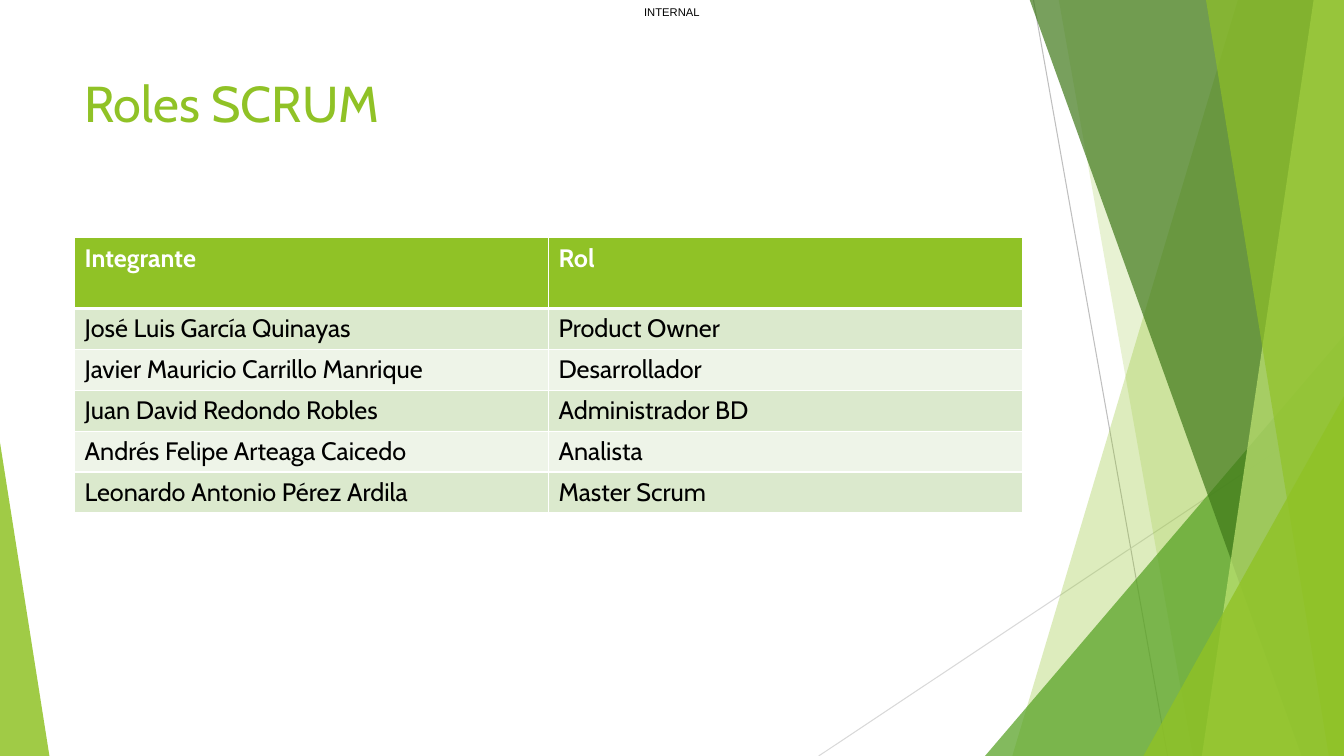
from lxml import etree
from pptx import Presentation
from pptx.dml.color import RGBColor
from pptx.enum import shapes, text
from pptx.oxml import ns
from pptx.util import Inches, Pt

LIME = RGBColor(0x90, 0xC2, 0x26)
GREEN = RGBColor(0x54, 0xA0, 0x21)
DARK_GREEN = RGBColor(0x3F, 0x78, 0x19)
PALE_LIME = RGBColor(0xC0, 0xE4, 0x74)
BAND_DARK = RGBColor(0xDB, 0xE9, 0xCD)
BAND_LIGHT = RGBColor(0xEE, 0xF4, 0xE8)
GRAY = RGBColor(0xBF, 0xBF, 0xBF)
LIGHT_GRAY = RGBColor(0xD9, 0xD9, 0xD9)
WHITE = RGBColor(0xFF, 0xFF, 0xFF)
BLACK = RGBColor(0, 0, 0)
W, H, TOP = 13.33, 7.5, -0.01


def paint(sp, color, opacity):
    sp.shadow.inherit = False
    sp.fill.solid()
    sp.fill.fore_color.rgb = color
    sp.line.fill.background()
    clr = sp._element.spPr.find(ns.qn("a:solidFill"))[0]
    etree.SubElement(clr, ns.qn("a:alpha"), val=str(opacity * 1000))


def set_font(p, name, size, color, bold=False):
    p.font.name = name
    p.font.size = Pt(size)
    p.font.color.rgb = color
    p.font.bold = bold


prs = Presentation()
prs.slide_width, prs.slide_height = Inches(W), Inches(H)
s = prs.slides.add_slide(prs.slide_layouts[6])

for x1, y1, x2, y2, color in [
    (10.25, 0, 11.58, H, GRAY),
    (W, 4.03, 8.12, H, LIGHT_GRAY),
]:
    line = s.shapes.add_connector(
        shapes.MSO_CONNECTOR.STRAIGHT, Inches(x1), Inches(y1), Inches(x2), Inches(y2))
    line.line.color.rgb = color
    line.line.width = Pt(0.75)
    etree.SubElement(line._element.spPr, ns.qn("a:effectLst"))

bands = [
    ("panel", 12.28, 10.04, LIME, 30),
    ("panel", 10.5, 11.83, LIME, 20),
    ("triangle", 9.77, 3.33, 3.56, 1, GREEN, 72),
    ("panel", 10.21, 12.91, DARK_GREEN, 70),
    ("panel", 13.03, 11.92, PALE_LIME, 70),
    ("panel", 11.96, 13.18, LIME, 65),
    ("triangle", 11.34, 3.93, 1.99, 1, LIME, 80),
    ("triangle", 0, 4.39, 0.49, 0, LIME, 85),
]
for kind, *geometry, color, opacity in bands:
    if kind == "panel":
        top_x, bottom_x = geometry
        fb = s.shapes.build_freeform(Inches(top_x), Inches(TOP))
        corners = [(W, TOP), (W, H), (bottom_x, H)]
        fb.add_line_segments([(Inches(x), Inches(y)) for x, y in corners])
        sp = fb.convert_to_shape()
    else:
        left, top, width, apex = geometry
        sp = s.shapes.add_shape(
            shapes.MSO_SHAPE.ISOSCELES_TRIANGLE,
            Inches(left), Inches(top), Inches(width), Inches(H - top))
        sp.adjustments[0] = apex
    paint(sp, color, opacity)

label = s.shapes.add_textbox(Inches(6.26), Inches(0), Inches(0.81), Inches(0.24))
tf = label.text_frame
tf.word_wrap = True
tf.margin_left = tf.margin_top = tf.margin_right = tf.margin_bottom = 0
tf.vertical_anchor = text.MSO_ANCHOR.MIDDLE
p = tf.paragraphs[0]
p.text = "INTERNAL"
p.alignment = text.PP_ALIGN.CENTER
set_font(p, "Arial", 8, BLACK)

title = s.shapes.add_textbox(Inches(0.74), Inches(0.67), Inches(9.4), Inches(1.44))
tf = title.text_frame
tf.word_wrap = True
p = tf.paragraphs[0]
p.text = "Roles SCRUM"
set_font(p, "Cabin", 36, LIME)

roles = [
    ("Integrante", "Rol"),
    ("José Luis García Quinayas", "Product Owner"),
    ("Javier Mauricio Carrillo Manrique", "Desarrollador"),
    ("Juan David Redondo Robles", "Administrador BD"),
    ("Andrés Felipe Arteaga Caicedo", "Analista"),
    ("Leonardo Antonio Pérez Ardila", "Master Scrum"),
]
table = s.shapes.add_table(
    len(roles), 2, Inches(0.74), Inches(2.36), Inches(9.4), Inches(2.73)).table
for i, row in enumerate(roles):
    header = i == 0
    table.rows[i].height = Inches(0.7 if header else 2.03 / 5)
    for j, value in enumerate(row):
        cell = table.cell(i, j)
        cell.fill.solid()
        cell.fill.fore_color.rgb = LIME if header else BAND_DARK if i % 2 else BAND_LIGHT
        p = cell.text_frame.paragraphs[0]
        p.text = value
        set_font(p, "Cabin", 18, WHITE if header else BLACK, header)
        tcPr = cell._tc.get_or_add_tcPr()
        for k, side in enumerate(("lnL", "lnR", "lnT", "lnB")):
            thick = (i, side) in ((0, "lnB"), (1, "lnT"))
            ln = etree.Element(ns.qn("a:" + side), w=str(Pt(3 if thick else 1)))
            fill = etree.SubElement(ln, ns.qn("a:solidFill"))
            etree.SubElement(fill, ns.qn("a:srgbClr"), val=str(WHITE))
            tcPr.insert(k, ln)

prs.save("out.pptx")
